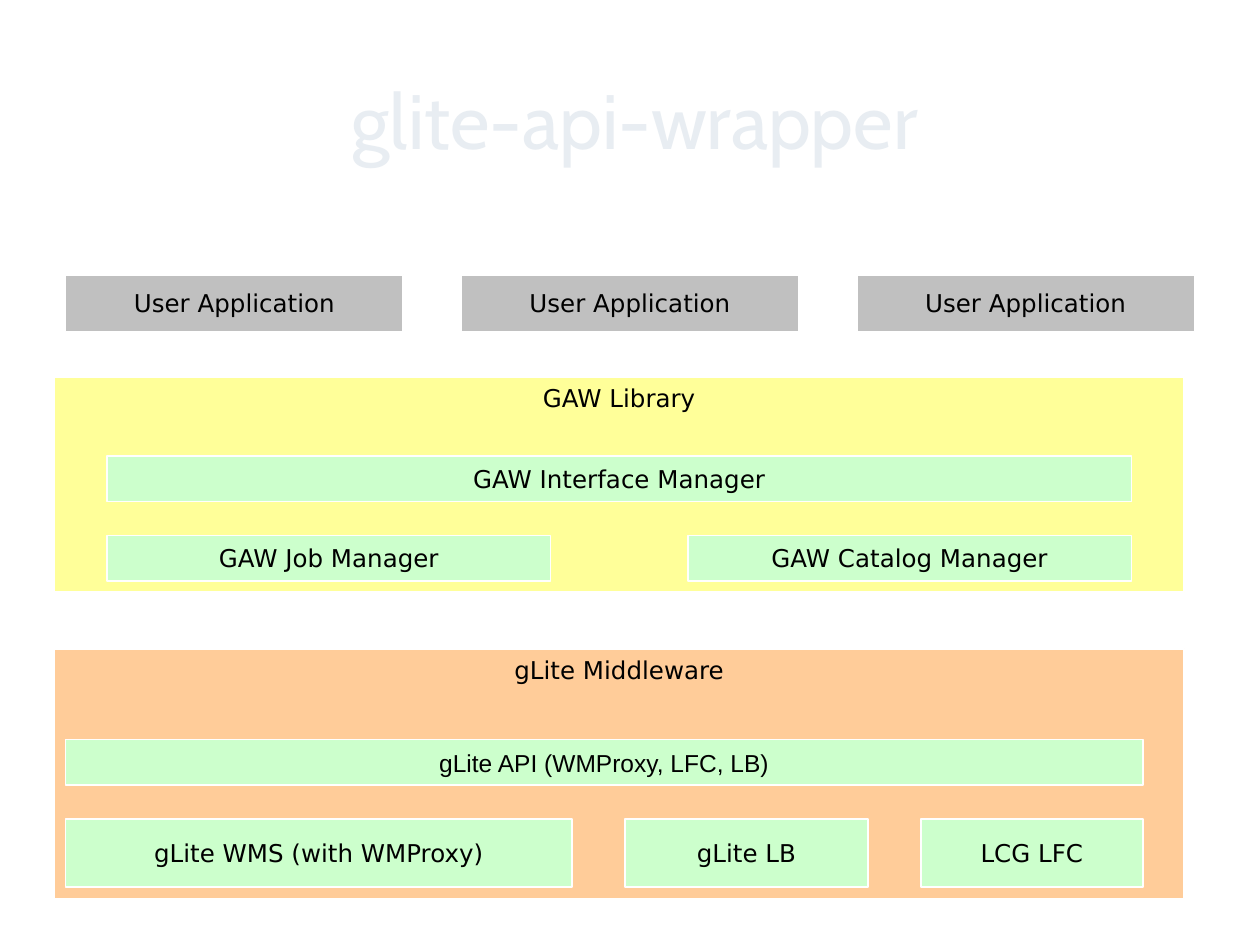
import pptx
import pptx.util
import pptx.dml.color
import pptx.enum.shapes
import pptx.enum.text
import pptx.oxml
import pptx.oxml.ns
from dataclasses import dataclass

WIDE, HIGH = 10, 7.5
ANCHOR = pptx.enum.text.MSO_ANCHOR


@dataclass(frozen=True)
class Theme:
    title: str = "E8EDF2"
    text: str = "000000"
    edge: str = "FFFFFF"
    user: str = "C0C0C0"
    gaw: str = "FFFF99"
    glite: str = "FFCC99"
    inner: str = "CCFFCC"
    head: str = "Cabin"
    body: str = "DejaVu Sans"
    plain: str = "Arial"
    big: int = 44
    small: int = 14


THEME = Theme()
TITLE = ("glite-api-wrapper", (8.3, 4.8, 84.2, 15.6))

# Places are percent of the slide: left, top, width, height
PANELS = [
    ("gLite Middleware", THEME.glite, (4.3, 68.67, 89.7, 26.4)),
    ("GAW Library", THEME.gaw, (4.3, 39.87, 89.7, 22.8)),
]

# Each row: place, gap, fill, font, then (label, share of the row) pairs
ROWS = [
    ((5.2, 29.07, 89.6, 6), 4.6, THEME.user, THEME.body,
     [("User Application", 1)] * 3),
    ((8.5, 48.27, 81.3, 4.8), 0, THEME.inner, THEME.body,
     [("GAW Interface Manager", 1)]),
    ((8.5, 56.67, 81.3, 4.8), 10.9, THEME.inner, THEME.body,
     [("GAW Job Manager", 1), ("GAW Catalog Manager", 1)]),
    ((5.2, 78.27, 85.5, 4.8), 0, THEME.inner, THEME.plain,
     [("gLite API (WMProxy, LFC, LB)", 1)]),
    ((5.2, 86.67, 85.5, 7.2), 4.2, THEME.inner, THEME.body,
     [("gLite WMS (with WMProxy)", 40.2), ("gLite LB", 19.3),
      ("LCG LFC", 17.6)]),
]


def rgb(code):
    return pptx.dml.color.RGBColor.from_string(code)


def scale(place):
    """Turn percent of the slide into lengths."""
    return [pptx.util.Inches(rate * side / 100)
            for rate, side in zip(place, (WIDE, HIGH) * 2)]


def write(shape, text, font, size, color, anchor):
    frame = shape.text_frame
    frame.text = text
    frame.vertical_anchor = anchor
    para = frame.paragraphs[0]
    para.alignment = pptx.enum.text.PP_ALIGN.CENTER
    run = para.runs[0]
    run.font.name = font
    run.font.size = pptx.util.Pt(size)
    run.font.color.rgb = rgb(color)
    return run


def shade(run):
    """Give the letters a small dark shadow."""
    effect = pptx.oxml.parse_xml(
        f'<a:effectLst {pptx.oxml.ns.nsdecls("a")}>'
        '<a:outerShdw dist="17961" dir="2700000">'
        f'<a:srgbClr val="{THEME.text}"/></a:outerShdw></a:effectLst>')
    fill = run._r.rPr.find(pptx.oxml.ns.qn("a:solidFill"))
    fill.addnext(effect)


def box(slide, text, fill, place, font=THEME.body, anchor=ANCHOR.MIDDLE):
    shape = slide.shapes.add_shape(
        pptx.enum.shapes.MSO_SHAPE.RECTANGLE, *scale(place))
    shape.shadow.inherit = False
    shape.fill.solid()
    shape.fill.fore_color.rgb = rgb(fill)
    shape.line.color.rgb = rgb(THEME.edge)
    shape.line.width = pptx.util.Pt(1)
    shape.text_frame.word_wrap = False
    write(shape, text, font, THEME.small, THEME.text, anchor)


def main():
    deck = pptx.Presentation()
    deck.slide_width = pptx.util.Inches(WIDE)
    deck.slide_height = pptx.util.Inches(HIGH)
    slide = deck.slides.add_slide(deck.slide_layouts[6])

    text, place = TITLE
    title = slide.shapes.add_textbox(*scale(place))
    title.text_frame.word_wrap = True
    shade(write(title, text, THEME.head, THEME.big, THEME.title,
                ANCHOR.MIDDLE))

    for text, fill, place in PANELS:
        box(slide, text, fill, place, anchor=ANCHOR.TOP)

    for (left, top, width, height), gap, fill, font, cells in ROWS:
        total = sum(share for _, share in cells)
        room = width - gap * (len(cells) - 1)
        for text, share in cells:
            span = room * share / total
            box(slide, text, fill, (left, top, span, height), font)
            left += span + gap

    deck.save("out.pptx")


if __name__ == "__main__":
    main()
